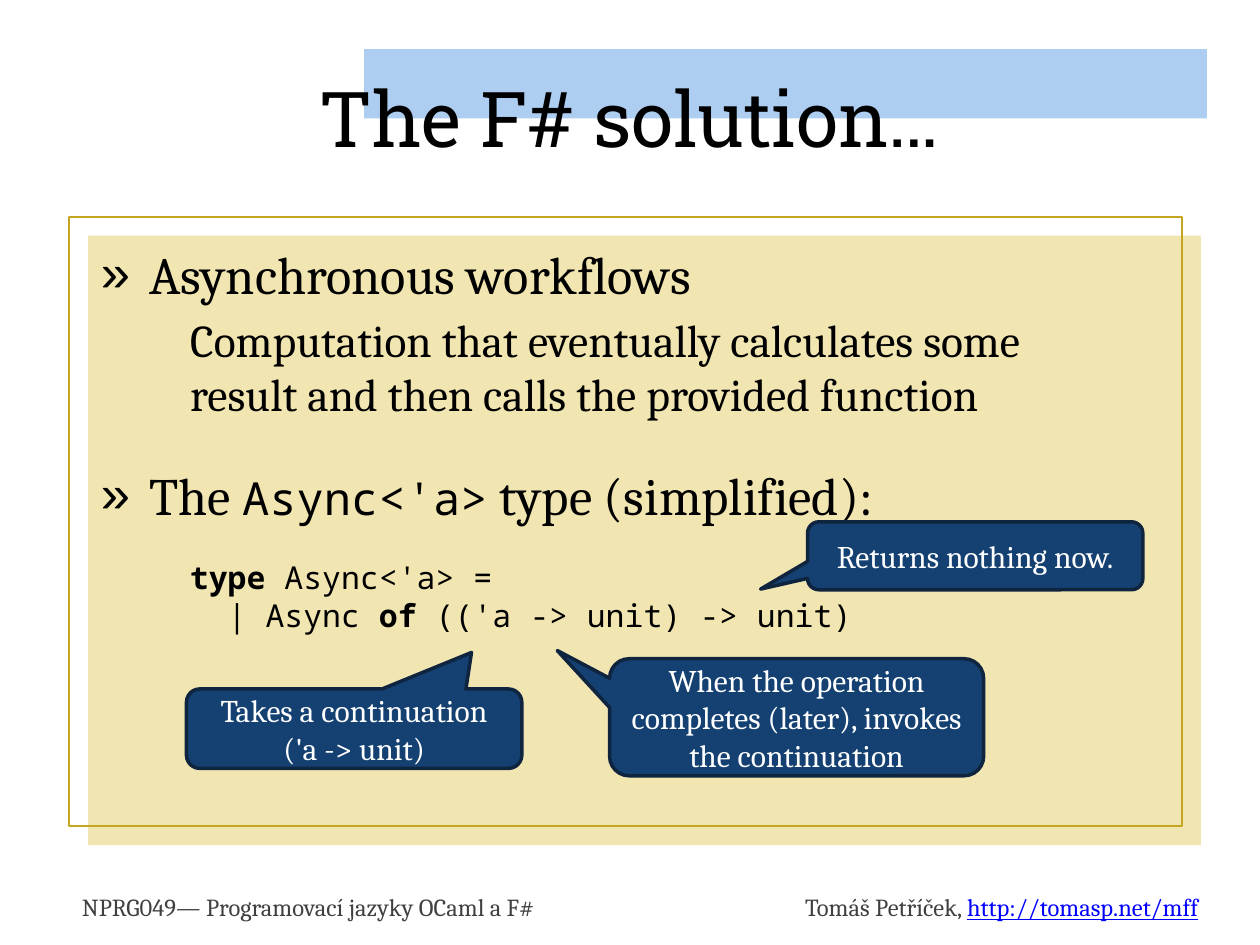
from lxml import etree
from pptx import Presentation
from pptx import util as u
from pptx.dml import color
from pptx.enum import shapes, text
from pptx.oxml import ns

SERIF, MONO, HEADING = "Cambria", "Noto Sans Mono", "Roboto Slab"
NAVY, DARK_NAVY, GOLD = "144172", "0F243E", "C5A623"
SKY, SAND, GREY = "ADCDF1", "F1E5B1", "404040"
BLACK, WHITE, LINK = "000000", "FFFFFF", "0000FF"


def rgb(value):
    return color.RGBColor.from_string(value)


def lengths(box):
    return [u.Cm(value) for value in box]


def style(run, size, font=SERIF, fill=BLACK, bold=False, underline=False):
    run.font.size = u.Pt(size)
    run.font.name = font
    run.font.color.rgb = rgb(fill)
    run.font.bold = bold
    run.font.underline = underline


def add_runs(paragraph, pieces):
    for words, options in pieces:
        run = paragraph.add_run()
        run.text = words
        style(run, **options)


def place(placeholder, box):
    placeholder.left, placeholder.top, placeholder.width, placeholder.height = lengths(box)
    placeholder.text_frame.auto_size = text.MSO_AUTO_SIZE.NONE
    tree = placeholder.element.getparent()
    tree.append(placeholder.element)


def set_bullet(paragraph, margin, indent, character=None):
    properties = paragraph._p.get_or_add_pPr()
    properties.set("marL", str(u.Cm(margin)))
    properties.set("indent", str(u.Cm(indent)))
    bullet = etree.SubElement(properties, ns.qn("a:buChar" if character else "a:buNone"))
    if character:
        bullet.set("char", character)


def add_panel(slide, box, kind=shapes.MSO_SHAPE.RECTANGLE, fill=None, line=None, weight=1.25):
    shape = slide.shapes.add_shape(kind, *lengths(box))
    shape.shadow.inherit = False
    if fill:
        shape.fill.solid()
        shape.fill.fore_color.rgb = rgb(fill)
    else:
        shape.fill.background()
    if line:
        shape.line.color.rgb = rgb(line)
        shape.line.width = u.Pt(weight)
    else:
        shape.line.fill.background()
    return shape


def add_lines(slide, box, lines, alignment=text.PP_ALIGN.LEFT):
    frame = slide.shapes.add_textbox(*lengths(box)).text_frame
    frame.word_wrap = True
    for index, pieces in enumerate(lines):
        paragraph = frame.add_paragraph() if index else frame.paragraphs[0]
        paragraph.alignment = alignment
        add_runs(paragraph, pieces)


def add_backdrop(slide, left, top, width, height):
    offset = 0.38
    add_panel(slide, (7.34, 0.99, 16.99, 1.4), fill=SKY)
    add_panel(slide, (left + offset, top + offset, width, height), fill=SAND)
    add_panel(slide, (left, top, width, height), line=GOLD)


def add_footer(slide, left, top, width, height):
    column = 11.3
    grey = dict(size=14, fill=GREY)
    link = dict(size=14, fill=LINK, underline=True)
    add_lines(slide, (left, top, column, height),
              [[("NPRG049— Programovací jazyky OCaml a F#", grey)]])
    add_lines(slide, (left + width - column, top, column, height),
              [[("Tomáš Petříček, ", grey), ("http://tomasp.net/mff", link)]],
              text.PP_ALIGN.RIGHT)


def fill_body(body, box):
    place(body, box)
    frame = body.text_frame
    heading = dict(size=30)
    items = [
        (0, [("Asynchronous workflows", heading)]),
        (1, [("Computation that eventually calculates some\v"
              "result and then calls the provided function", dict(size=26))]),
        (0, [("The ", heading), ("Async<'a>", dict(size=26, font=MONO)),
             (" type (simplified):", heading)]),
    ]
    for index, (level, pieces) in enumerate(items):
        paragraph = frame.add_paragraph() if index else frame.paragraphs[0]
        paragraph.level = level
        if level:
            set_bullet(paragraph, 1.8, 0)
        else:
            set_bullet(paragraph, 0.97, -0.97, "»")
        paragraph.space_before = u.Pt((4 if level else 20) if index else 0)
        paragraph.space_after = u.Pt(4 if level else 0)
        for words, options in pieces:
            for number, line in enumerate(words.split("\v")):
                if number:
                    paragraph.add_line_break()
                add_runs(paragraph, [(line, options)])


def fill_title(title, box):
    place(title, box)
    title.text_frame.text = "The F# solution…"
    title.text_frame.vertical_anchor = text.MSO_ANCHOR.MIDDLE
    paragraph = title.text_frame.paragraphs[0]
    paragraph.alignment = text.PP_ALIGN.CENTER
    style(paragraph.runs[0], 44, HEADING)


def add_code(slide, box):
    plain = dict(size=18, font=MONO)
    keyword = dict(plain, bold=True)
    add_lines(slide, box, [
        [("type ", keyword), ("Async<'a> =", plain)],
        [("  | Async ", plain), ("of ", keyword), ("(('a -> unit) -> unit)", plain)],
    ])


def add_callout(slide, box, tip, words):
    shape = add_panel(slide, box, shapes.MSO_SHAPE.ROUNDED_RECTANGULAR_CALLOUT,
                      NAVY, DARK_NAVY, 2)
    shape.adjustments[0], shape.adjustments[1] = tip
    frame = shape.text_frame
    frame.word_wrap = True
    frame.vertical_anchor = text.MSO_ANCHOR.MIDDLE
    frame.text = words
    paragraph = frame.paragraphs[0]
    paragraph.alignment = text.PP_ALIGN.CENTER
    for run in paragraph.runs:
        style(run, 18, fill=WHITE)


def main():
    presentation = Presentation()
    presentation.slide_width, presentation.slide_height = u.Cm(25.4), u.Cm(19.05)
    slide = presentation.slides.add_slide(presentation.slide_layouts[1])
    title, body = slide.placeholders
    add_backdrop(slide, 1.4, 4.37, 22.43, 12.29)
    add_footer(slide, 1.4, 17.86, 23.01, 0.86)
    fill_body(body, (1.78, 4.75, 22.35, 12.24))
    fill_title(title, (1.27, 0.76, 22.86, 3.18))
    add_code(slide, (3.58, 11.13, 18.06, 1.8))
    callouts = [
        ((3.76, 13.89, 6.76, 1.6), (0.35, -0.96), "Takes a continuation\v('a -> unit)"),
        ((16.28, 10.52, 6.76, 1.37), (-0.64, 0.49), "Returns nothing now."),
        ((12.29, 13.28, 7.54, 2.36), (-0.64, -0.57),
         "When the operation completes (later), invokes the continuation"),
    ]
    for box, tip, words in callouts:
        add_callout(slide, box, tip, words)
    presentation.save("out.pptx")


if __name__ == "__main__":
    main()
